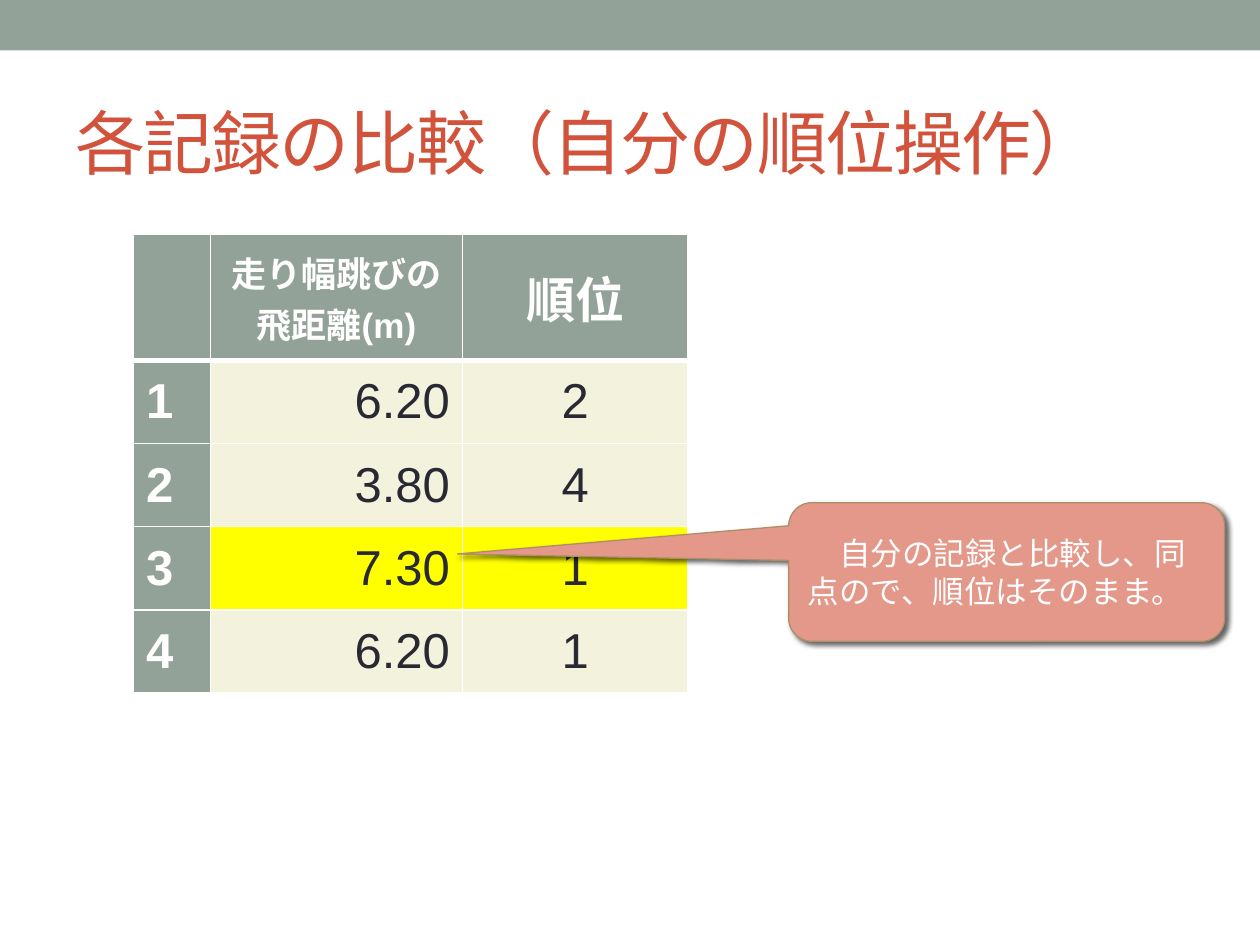
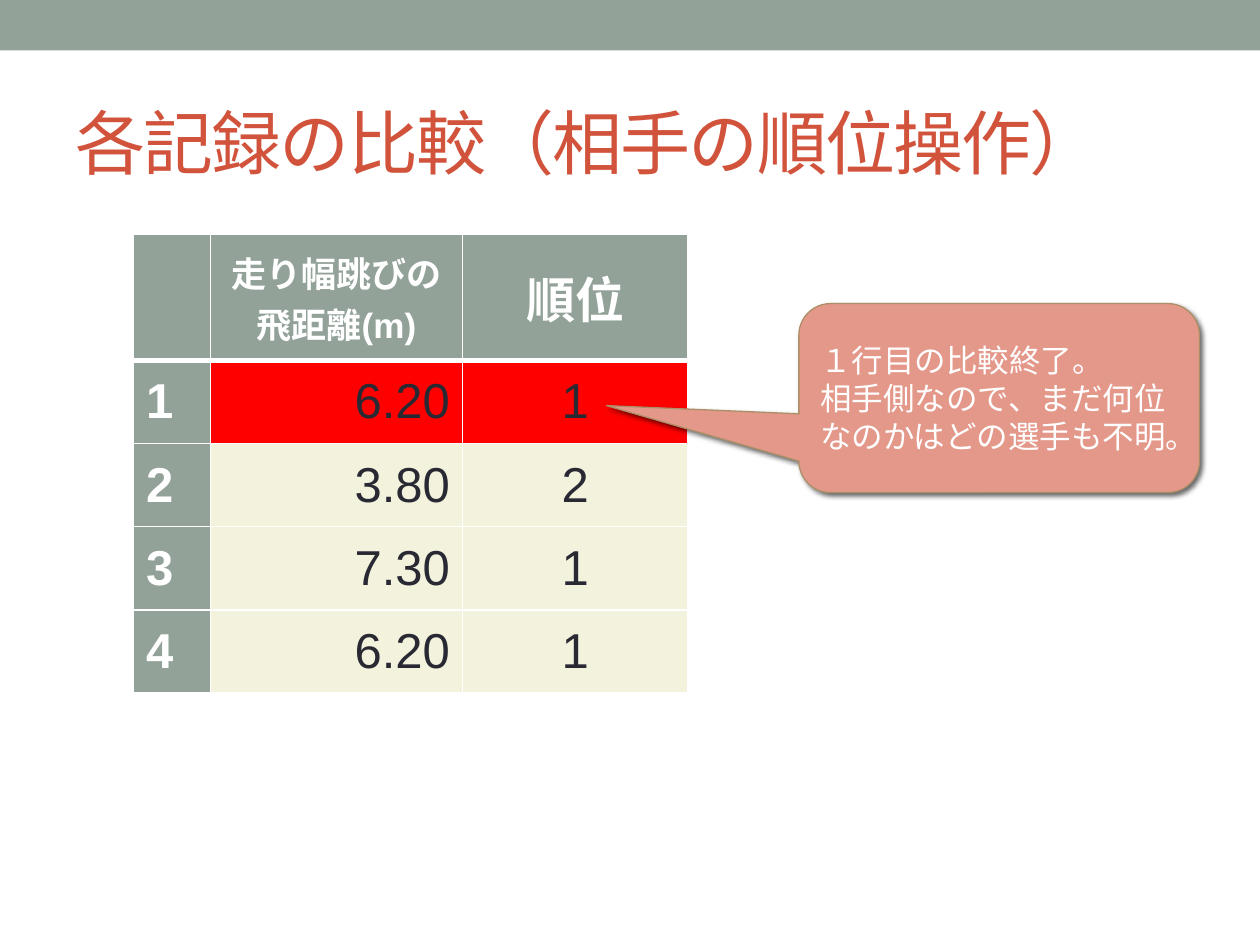
"""Build two slides that compare long jump records and update their ranks."""
from dataclasses import dataclass

from lxml import etree
from pptx import Presentation
from pptx import util as u
from pptx.dml.color import RGBColor
from pptx.enum import shapes, text
from pptx.oxml.ns import qn

LEFT, CENTER, RIGHT = text.PP_ALIGN.LEFT, text.PP_ALIGN.CENTER, text.PP_ALIGN.RIGHT


@dataclass(frozen=True)
class Theme:
    font: str = "Arial"
    band: str = "93A299"
    title: str = "D2533C"
    ink: str = "292934"
    white: str = "FFFFFF"
    cell: str = "F3F2DC"
    own: str = "FFFF00"
    opponent: str = "FF0000"
    callout: str = "E4988A"
    callout_line: str = "AD8F67"
    shadow: str = "000000"
    title_size: float = 40
    table_size: float = 28
    label_size: float = 20
    callout_size: float = 18
    callout_leading: float = 21.7


def rgb(color):
    return RGBColor.from_string(color)


def write(tf, lines, *, font, size, color, bold=False, align=LEFT, leading=None, spacing=None):
    for i, line in enumerate(lines.split("\n")):
        p = tf.add_paragraph() if i else tf.paragraphs[0]
        p.alignment = align
        if leading:
            p.line_spacing = u.Pt(leading)
        r = p.add_run()
        r.text = line
        r.font.name, r.font.size, r.font.bold = font, u.Pt(size), bold
        r.font.color.rgb = rgb(color)
        if spacing:
            r.font._element.set("spc", str(int(spacing * 100)))


def add_color(parent, color, alpha=None):
    clr = etree.SubElement(parent, qn("a:srgbClr"), val=color)
    if alpha:
        etree.SubElement(clr, qn("a:alpha"), val=str(alpha * 1000))


class Deck:
    def __init__(self, theme):
        self.theme = theme
        self.prs = Presentation()
        self.prs.slide_width, self.prs.slide_height = u.Inches(10), u.Inches(7.5)
        self.s = None

    def slide(self, title):
        t = self.theme
        self.s = self.prs.slides.add_slide(self.prs.slide_layouts[6])
        self.shape(shapes.MSO_SHAPE.RECTANGLE, (0, 0, 10, 0.4), t.band)
        box = self.s.shapes.add_textbox(*map(u.Inches, (0.5, 0.58, 9, 1.08)))
        tf = box.text_frame
        tf.word_wrap, tf.vertical_anchor = True, text.MSO_ANCHOR.MIDDLE
        write(tf, title, font=t.font, size=t.title_size, color=t.title, spacing=-1)

    def shape(self, kind, box, fill, line=None):
        sp = self.s.shapes.add_shape(kind, *map(u.Inches, box))
        sp.shadow.inherit = False
        sp.fill.solid()
        sp.fill.fore_color.rgb = rgb(fill)
        if line:
            sp.line.color.rgb, sp.line.width = rgb(line), u.Pt(0.75)
        else:
            sp.line.fill.background()
        return sp

    def callout(self, lines, box, pointer):
        t = self.theme
        sp = self.shape(shapes.MSO_SHAPE.ROUNDED_RECTANGULAR_CALLOUT, box, t.callout, t.callout_line)
        for i, value in enumerate((*pointer, 0.167)):
            sp.adjustments[i] = value
        effects = sp._element.spPr.find(qn("a:effectLst"))
        shadow = etree.SubElement(effects, qn("a:outerShdw"), blurRad=str(u.Pt(3)),
                                  dist=str(u.Pt(2)), dir=str(45 * 60000), rotWithShape="0")
        add_color(shadow, t.shadow, 60)
        tf = sp.text_frame
        tf.word_wrap, tf.vertical_anchor = True, text.MSO_ANCHOR.MIDDLE
        write(tf, lines, font=t.font, size=t.callout_size, color=t.white, leading=t.callout_leading)

    def cell(self, cell, content, fill, top=1, bottom=1, **fmt):
        t = self.theme
        tcPr = cell._tc.get_or_add_tcPr()
        for side, width in (("L", 1), ("R", 1), ("T", top), ("B", bottom)):
            ln = etree.SubElement(tcPr, qn(f"a:ln{side}"), w=str(u.Pt(width)))
            add_color(etree.SubElement(ln, qn("a:solidFill")), t.white)
        cell.fill.solid()
        cell.fill.fore_color.rgb = rgb(fill)
        cell.vertical_anchor = text.MSO_ANCHOR.MIDDLE
        if content:
            write(cell.text_frame, content, font=t.font, **fmt)

    def rank_table(self, distances, ranks, marked, mark_fill):
        t = self.theme
        frame = self.s.shapes.add_table(len(ranks) + 1, 3, *map(u.Inches, (1.06, 1.86, 4.4, 3.64)))
        table = frame.table
        table.first_col, table.horz_banding = True, False
        for column, width in zip(table.columns, (0.61, 2, 1.79)):
            column.width = u.Inches(width)
        for i, row in enumerate(table.rows):
            row.height = u.Inches(0.66 if i else 1)
        heads = ("", t.table_size), ("走り幅跳びの\n飛距離(m)", t.label_size), ("順位", t.table_size)
        for col, (head, size) in enumerate(heads):
            self.cell(table.cell(0, col), head, t.band, bottom=3,
                      size=size, color=t.white, bold=True, align=CENTER)
        for row, (distance, rank) in enumerate(zip(distances, ranks), 1):
            top = 3 if row == 1 else 1
            fill = mark_fill if row == marked else t.cell
            self.cell(table.cell(row, 0), str(row), t.band, top=top,
                      size=t.table_size, color=t.white, bold=True)
            for col, value, align in ((1, f"{distance:.2f}", RIGHT), (2, str(rank), CENTER)):
                self.cell(table.cell(row, col), value, fill, top=top,
                          size=t.table_size, color=t.ink, align=align)


def main():
    theme = Theme()
    deck = Deck(theme)
    distances = 6.2, 3.8, 7.3, 6.2

    deck.slide("各記録の比較（自分の順位操作）")
    deck.rank_table(distances, (2, 4, 1, 1), 3, theme.own)
    deck.callout("　自分の記録と比較し、同点ので、順位はそのまま。",
                 (6.26, 3.99, 3.46, 1.1), (-1.26, -0.13))

    deck.slide("各記録の比較（相手の順位操作）")
    deck.rank_table(distances, (1, 2, 1, 1), 1, theme.opponent)
    deck.callout("１行目の比較終了。\n相手側なので、まだ何位なのかはどの選手も不明。",
                 (6.34, 2.41, 3.18, 1.5), (-0.98, 0.04))

    deck.prs.save("out.pptx")


if __name__ == "__main__":
    main()
